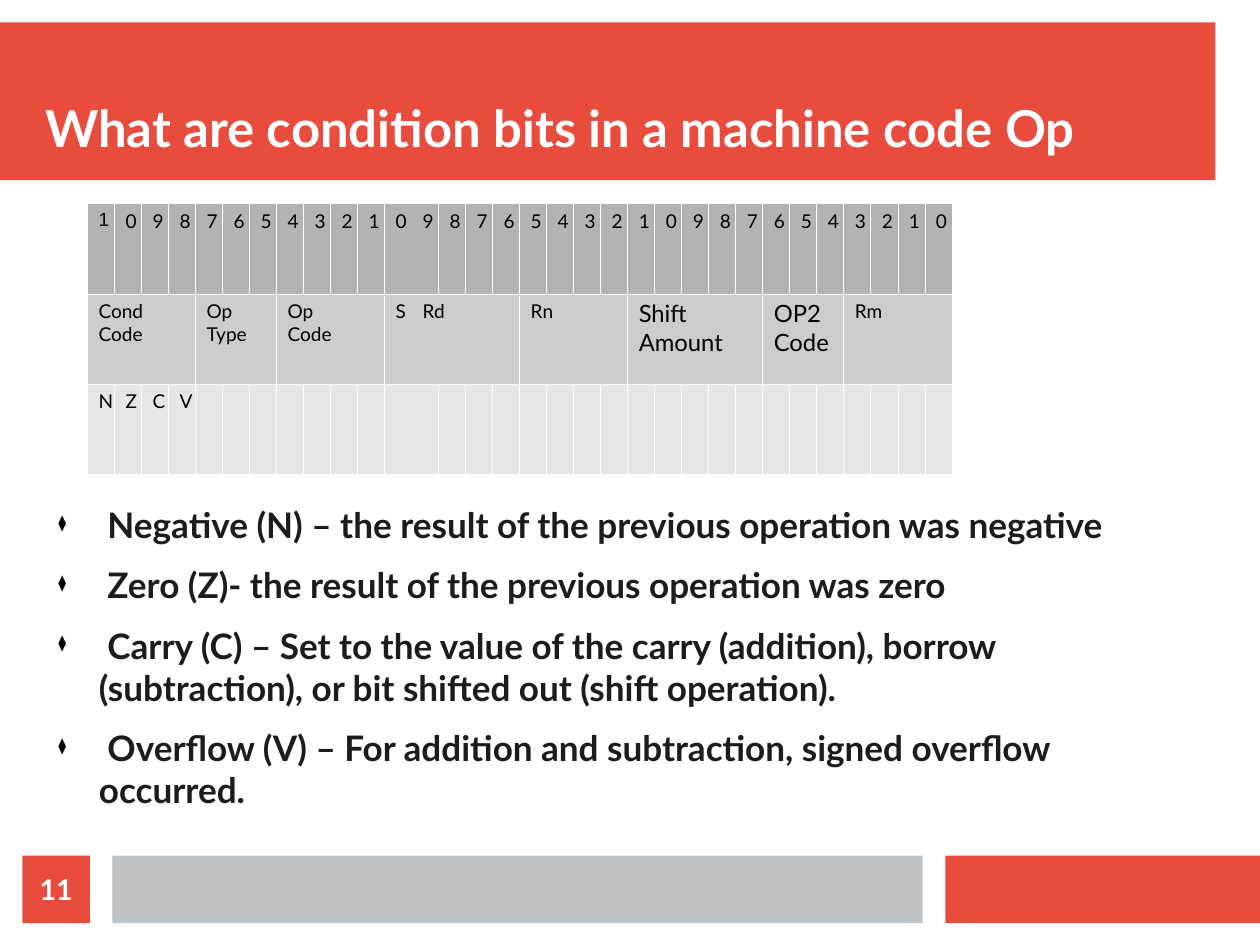
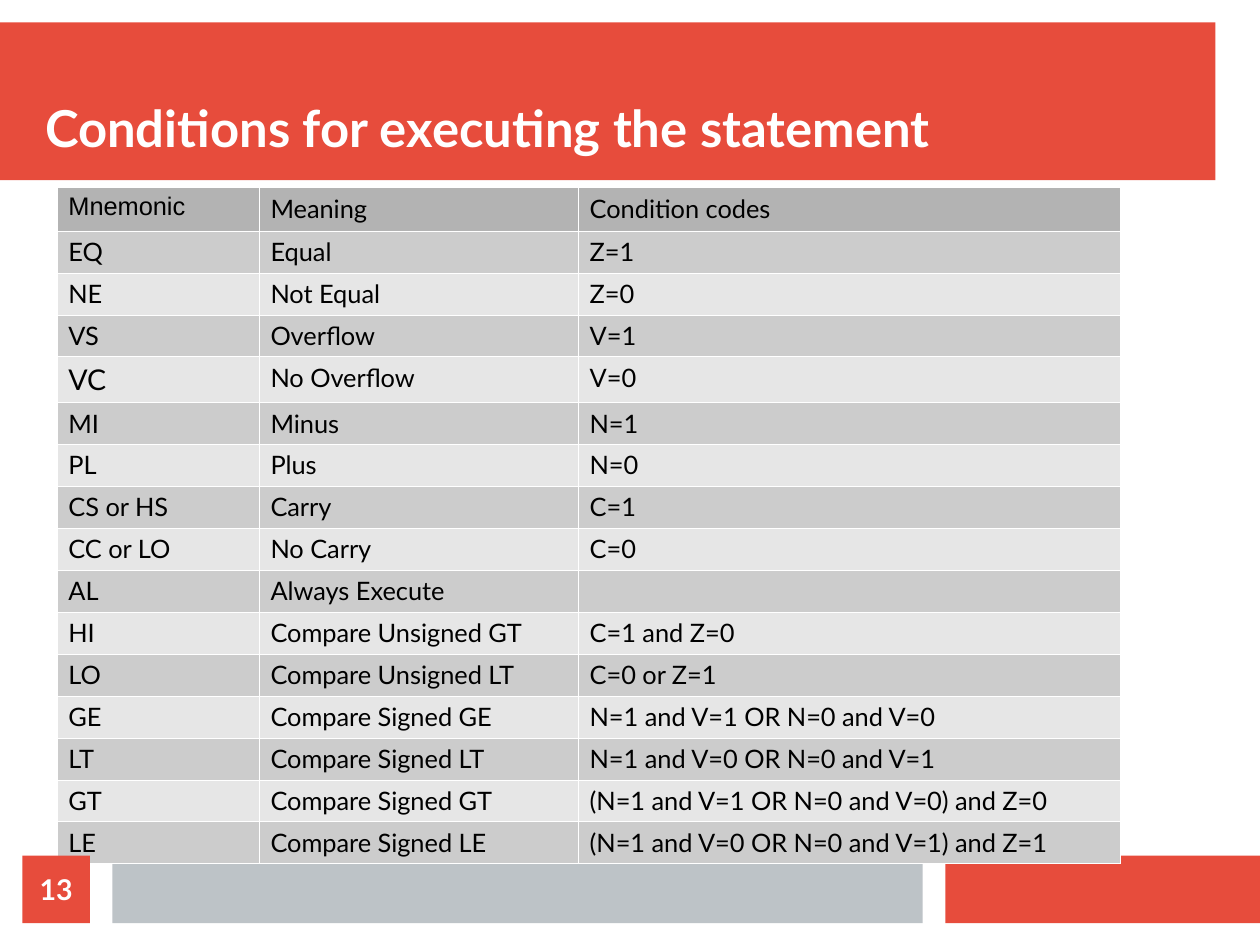
from dataclasses import dataclass

from lxml import etree
from pptx import Presentation
from pptx.dml.color import RGBColor
from pptx.enum.shapes import MSO_SHAPE
from pptx.enum.text import MSO_ANCHOR, MSO_AUTO_SIZE, PP_ALIGN
from pptx.oxml.ns import qn
from pptx.util import Cm, Inches, Pt

RECT = MSO_SHAPE.RECTANGLE
LEFT, CENTER = PP_ALIGN.LEFT, PP_ALIGN.CENTER
MIDDLE, BOTTOM = MSO_ANCHOR.MIDDLE, MSO_ANCHOR.BOTTOM
FIXED = MSO_AUTO_SIZE.NONE
TITLE_ONLY = 5

# The grid has 28 columns and 21 rows of one centimetre.
FOOT, FOOT_H = 19, 1.5


@dataclass(frozen=True)
class Theme:
    red: str = "E74C3C"
    gray: str = "BDC3C7"
    white: str = "FFFFFF"
    ink: str = "1C1C1C"
    black: str = "000000"
    head: str = "B3B3B3"
    bands: tuple = ("CCCCCC", "E6E6E6")
    face: str = "Lato"
    plain: str = "Arial"
    title: float = 32
    body: float = 22.1
    page: float = 18
    gap: float = 11.4
    rule: float = 0.06


T = Theme()

BITS = [(str(bit % 10), 1) for bit in range(31, -1, -1)]
FIELDS = [("Cond\nCode", 4), ("Op\nType", 3), ("Op\nCode", 4), ("S", 1), ("Rd", 4),
          ("Rn", 4), ("Shift\nAmount", 5), ("OP2\nCode", 3), ("Rm", 4)]
FLAGS = [(flag, 1) for flag in "NZCV"] + [("", 1)] * 28

NOTES = [
    " Negative (N) – the result of the previous operation was negative",
    " Zero (Z)- the result of the previous operation was zero",
    " Carry (C) – Set to the value of the carry (addition), borrow (subtraction), "
    "or bit shifted out (shift operation).",
    " Overflow (V) – For addition and subtraction, signed overflow occurred.",
]

CODES = [
    ("Mnemonic", "Meaning", "Condition codes"),
    ("EQ", "Equal", "Z=1"),
    ("NE", "Not Equal", "Z=0"),
    ("VS", "Overflow", "V=1"),
    ("VC", "No Overflow", "V=0"),
    ("MI", "Minus", "N=1"),
    ("PL", "Plus", "N=0"),
    ("CS or HS", "Carry", "C=1"),
    ("CC or LO", "No Carry", "C=0"),
    ("AL", "Always Execute", ""),
    ("HI", "Compare Unsigned GT", "C=1 and Z=0"),
    ("LO", "Compare Unsigned LT", "C=0 or Z=1"),
    ("GE", "Compare Signed GE", "N=1 and V=1 OR N=0 and V=0"),
    ("LT", "Compare Signed LT", "N=1 and V=0 OR N=0 and V=1"),
    ("GT", "Compare Signed GT", "(N=1 and V=1 OR N=0 and V=0) and Z=0"),
    ("LE", "Compare Signed LE", "(N=1 and V=0 OR N=0 and V=1) and Z=1"),
]


def rgb(code):
    return RGBColor.from_string(code)


def place(*cells):
    return [Cm(cell) for cell in cells]


def write(para, text, size, color, bold=False, face=T.face):
    run = para.add_run()
    run.text = text
    font = run.font
    font.name, font.size, font.bold = face, Pt(size), bold
    font.color.rgb = rgb(color)


def prepare(frame, anchor=None):
    """Remove the insets, wrap the text and fix the frame's size."""
    frame.margin_left = frame.margin_right = frame.margin_top = frame.margin_bottom = 0
    frame.word_wrap = True
    frame.auto_size = FIXED
    if anchor is not None:
        frame.vertical_anchor = anchor
    return frame


def box(slide, area, color):
    shape = slide.shapes.add_shape(RECT, *place(*area))
    shape.shadow.inherit = False
    shape.fill.solid()
    shape.fill.fore_color.rgb = rgb(color)
    shape.line.fill.background()
    return shape


def add_bands(slide):
    box(slide, (0, 0.5, 27, 3.5), T.red)
    box(slide, (21, FOOT, 7, FOOT_H), T.red)
    box(slide, (2.5, FOOT, 18, FOOT_H), T.gray)


def add_title(slide, text):
    """Fill the title and raise it above the bands."""
    title = slide.shapes.title
    title.left, title.top, title.width, title.height = place(1, 1, 26, 2.5)
    para = prepare(title.text_frame, BOTTOM).paragraphs[0]
    para.alignment = LEFT
    write(para, text, T.title, T.white, bold=True)
    slide.shapes._spTree.append(title._element)


def add_page(slide, page):
    shape = box(slide, (0.5, FOOT, FOOT_H, FOOT_H), T.red)
    para = prepare(shape.text_frame, MIDDLE).paragraphs[0]
    para.alignment = CENTER
    write(para, str(page), T.page, T.white, bold=True)


def add_bullet(para):
    props = para._p.get_or_add_pPr()
    props.set("marL", str(Cm(1.2)))
    props.set("indent", str(-Cm(0.9)))
    color = etree.SubElement(props, qn("a:buClr"))
    etree.SubElement(color, qn("a:srgbClr"), val=T.black)
    etree.SubElement(props, qn("a:buSzPct"), val="45000")
    etree.SubElement(props, qn("a:buChar"), char="⧫")


def add_list(slide, area, items):
    frame = prepare(slide.shapes.add_textbox(*place(*area)).text_frame)
    for spot, item in enumerate(items):
        para = frame.add_paragraph() if spot else frame.paragraphs[0]
        para.space_after = Pt(T.gap)
        add_bullet(para)
        write(para, item, T.body, T.ink, bold=True)


def add_rules(cell, bare=""):
    """Rule the four sides of a cell, except the bare one."""
    props = cell._tc.get_or_add_tcPr()
    for side in "LRTB":
        line = etree.SubElement(props, qn("a:ln" + side), w=str(Pt(T.rule)))
        if side == bare:
            etree.SubElement(line, qn("a:noFill"))
        else:
            fill = etree.SubElement(line, qn("a:solidFill"))
            etree.SubElement(fill, qn("a:srgbClr"), val=T.white)


def fill_cell(cell, text, size, face):
    frame = cell.text_frame
    for spot, part in enumerate(text.split("\n")):
        para = frame.add_paragraph() if spot else frame.paragraphs[0]
        if part:
            write(para, part, size, T.black, face=face)
        else:
            end = para._p.get_or_add_endParaRPr()
            end.set("sz", str(size * 100))


def add_grid(slide, spot, widths, heights, rows, size, odd, seam=None):
    """Add a table from rows of (text, span).

    odd maps a text to its own size; seam is the column with no rule on its left.
    """
    area = place(*spot, sum(widths), sum(heights))
    table = slide.shapes.add_table(len(heights), len(widths), *area).table
    table.first_row = table.horz_banding = False
    for col, width in zip(table.columns, widths):
        col.width = Cm(width)
    for row, height in zip(table.rows, heights):
        row.height = Cm(height)
    for r, row in enumerate(rows):
        shade = T.bands[(r - 1) % 2] if r else T.head
        c = 0
        for text, span in row:
            cell = table.cell(r, c)
            if span > 1:
                cell.merge(table.cell(r, c + span - 1))
            face = T.face if r or c else T.plain
            fill_cell(cell, text, odd.get(text, size), face)
            c += span
        for c in range(len(widths)):
            cell = table.cell(r, c)
            cell.margin_left = cell.margin_right = Cm(0.25)
            bare = ""
            if seam is not None:
                bare = {seam: "L", seam - 1: "R"}.get(c, "")
            add_rules(cell, bare)
            cell.fill.solid()
            cell.fill.fore_color.rgb = rgb(shade)


def add_slide(deck, title):
    slide = deck.slides.add_slide(deck.slide_layouts[TITLE_ONLY])
    add_bands(slide)
    add_title(slide, title)
    return slide


def main():
    deck = Presentation()
    deck.slide_width = Inches(11.02)
    deck.slide_height = Inches(8.27)

    slide = add_slide(deck, "What are condition bits in a machine code Op")
    add_list(slide, (1, 11.18, 25.5, 7.34), NOTES)
    add_grid(slide, (1.94, 4.52), [0.6] * 32, [2] * 3, [BITS, FIELDS, FLAGS], 12,
             {"Shift\nAmount": 15, "OP2\nCode": 15}, seam=12)
    add_page(slide, 11)

    slide = add_slide(deck, "Conditions for executing the statement")
    codes = [[(text, 1) for text in row] for row in CODES]
    add_grid(slide, (1.27, 4.16), [4.49, 7.09, 12.04], [0.97] + [0.9] * 15, codes, 16,
             {"VC": 18})
    add_page(slide, 13)

    deck.save("out.pptx")


if __name__ == "__main__":
    main()
